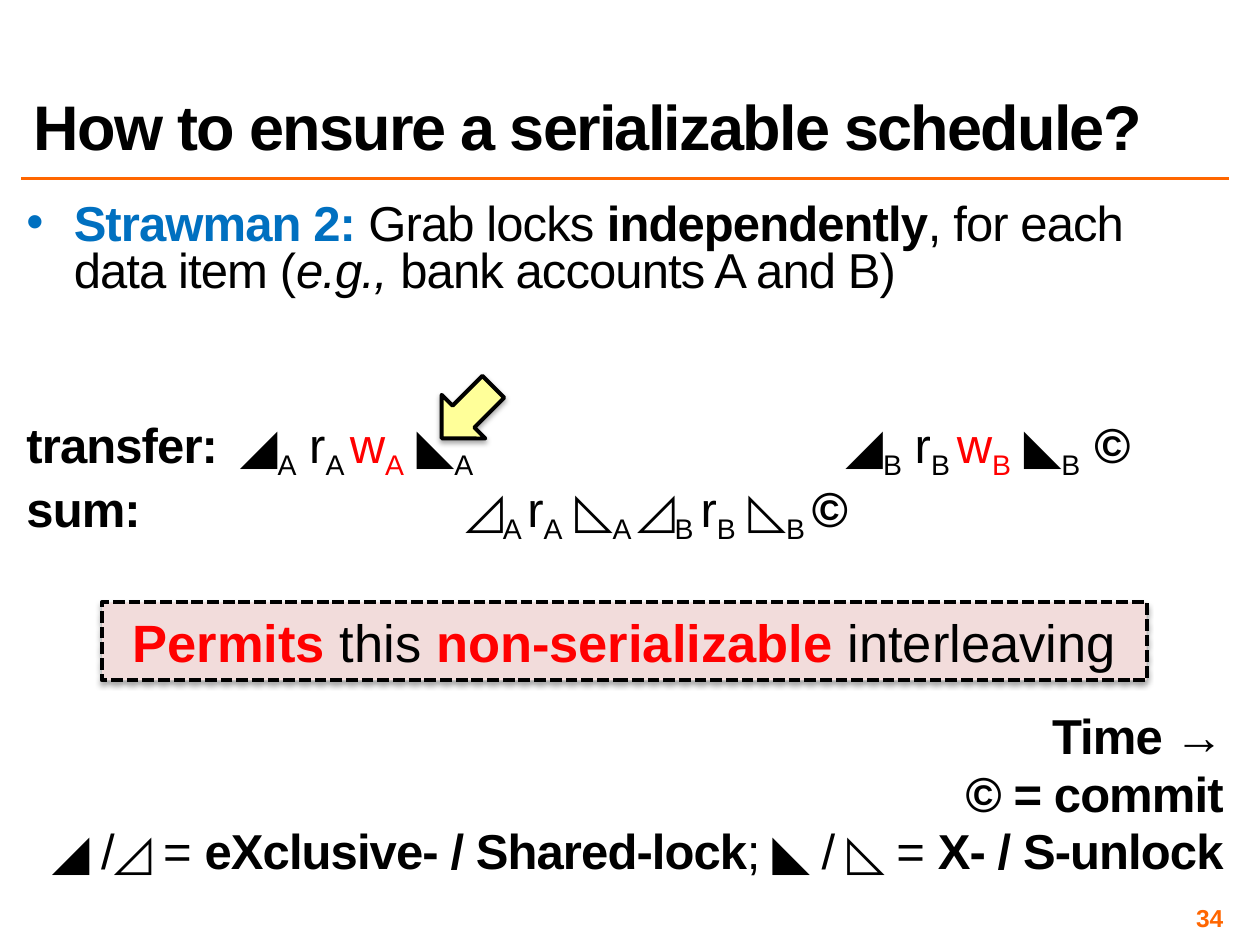
from lxml import etree
from pptx import Presentation
from pptx.dml.color import RGBColor
from pptx.enum import dml, shapes, text
from pptx.oxml import ns
from pptx.util import Pt

BLACK = RGBColor(0, 0, 0)
RED = RGBColor(0xFF, 0, 0)
BLUE = RGBColor(0, 0x70, 0xC0)
ORANGE = RGBColor(0xFF, 0x66, 0)
PINK = RGBColor(0xF2, 0xDC, 0xDB)
YELLOW = RGBColor(0xFF, 0xFF, 0x99)

BOLD = dict(bold=True)
SUB = dict(base=-25)
HOT = dict(color=RED)
HOT_SUB = dict(color=RED, base=-25)
HOT_BOLD = dict(color=RED, bold=True)
RIGHT, CENTER = text.PP_ALIGN.RIGHT, text.PP_ALIGN.CENTER
MIDDLE, BOTTOM = text.MSO_ANCHOR.MIDDLE, text.MSO_ANCHOR.BOTTOM

TITLE = [dict(runs=[("How to ensure a serializable schedule?", BOLD)], line=0.8)]
NUMBER = [dict(runs=[("34", dict(bold=True, color=ORANGE))], align=RIGHT)]
CALLOUT = [dict(runs=[("Permits ", HOT_BOLD), ("this ", {}),
                      ("non-serializable ", HOT_BOLD), ("interleaving", {})], align=CENTER)]

GAP, BLANK_LINE = 6, 32
SCHEDULE_TABS = (122, 243, 464)
STRAWMAN = [
    ("Strawman 2: ", dict(bold=True, color=BLUE)), ("Grab locks ", {}),
    ("independently", BOLD), (", for each data item (", {}),
    ("e.g., ", dict(italic=True)), ("bank accounts A and B)", {})]
TRANSFER = [
    ("transfer: \t", BOLD),
    ("◢", {}), ("A", SUB), (" r", {}), ("A ", SUB), ("w", HOT), ("A", HOT_SUB),
    (" ◣", {}), ("A \t", SUB),
    ("\t◢", {}), ("B", SUB), (" r", {}), ("B ", SUB), ("w", HOT), ("B", HOT_SUB),
    (" ◣", {}), ("B  ", SUB), ("©", BOLD)]
SUM = [
    ("sum: \t\t ", BOLD),
    ("◿", {}), ("A ", SUB), ("r", {}), ("A", SUB), (" ◺", {}), ("A ", SUB),
    ("◿", {}), ("B ", SUB), ("r", {}), ("B", SUB), (" ◺", {}), ("B ", SUB), ("©", BOLD)]
LEGEND = [
    ("◢ /◿ = ", {}), ("eXclusive- / Shared-lock", BOLD),
    ("; ◣ / ◺ = ", {}), ("X- / S-unlock", BOLD)]
BODY = [
    dict(runs=STRAWMAN, line=0.8, before=GAP, bullet="•"),
    dict(runs=TRANSFER, line=0.8, before=GAP + 2 * BLANK_LINE, tabs=SCHEDULE_TABS),
    dict(runs=SUM, line=0.8, before=GAP, tabs=SCHEDULE_TABS),
    dict(runs=[("Time →", BOLD)], line=0.8, before=GAP + 3 * BLANK_LINE, align=RIGHT),
    dict(runs=[("© = commit", BOLD)], line=0.8, before=GAP, align=RIGHT),
    dict(runs=LEGEND, line=0.8, before=GAP, align=RIGHT)]


def add(parent, tag, **attrs):
    return etree.SubElement(parent, ns.qn(tag), {k: str(v) for k, v in attrs.items()})


def add_run(p, words, size, spacing=0, bold=False, italic=False, color=BLACK, base=0):
    r = p.add_run()
    r.text = words
    f = r.font
    f.name, f.size, f.bold, f.italic = "Arial", Pt(size), bold, italic
    f.color.rgb = color
    rPr = f._element
    if spacing:
        rPr.set("spc", str(int(spacing * 100)))
    if base:
        rPr.set("baseline", str(base * 1000))


def write(sp, paragraphs, size, spacing=0, anchor=text.MSO_ANCHOR.TOP, inset=None):
    tf = sp.text_frame
    tf.word_wrap = True
    tf.vertical_anchor = anchor
    if inset is not None:
        tf.margin_left = tf.margin_top = tf.margin_right = tf.margin_bottom = Pt(inset)
    for i, item in enumerate(paragraphs):
        p = tf.add_paragraph() if i else tf.paragraphs[0]
        p.alignment = item.get("align", text.PP_ALIGN.LEFT)
        p.line_spacing = item.get("line", 1.0)
        p.space_before = Pt(item.get("before", 0))
        pPr = p._p.get_or_add_pPr()
        if "bullet" in item:
            pPr.set("marL", str(Pt(27)))
            pPr.set("indent", str(-Pt(27)))
            add(pPr, "a:buFont", typeface="Arial")
            add(pPr, "a:buChar", char=item["bullet"])
        if "tabs" in item:
            tab_list = add(pPr, "a:tabLst")
            for pos in item["tabs"]:
                add(tab_list, "a:tab", pos=Pt(pos), algn="l")
        for words, style in item["runs"]:
            add_run(p, words, size, spacing, **style)


def box(x, y, w, h):
    return slide.shapes.add_textbox(Pt(x), Pt(y), Pt(w), Pt(h))


def shadowed(kind, x, y, w, h, fill):
    sp = slide.shapes.add_shape(kind, Pt(x), Pt(y), Pt(w), Pt(h))
    sp.shadow.inherit = False
    sp.fill.solid()
    sp.fill.fore_color.rgb = fill
    sp.line.color.rgb = BLACK
    sp.line.width = Pt(2.25)
    effects = sp._element.spPr.find(ns.qn("a:effectLst"))
    shadow = add(effects, "a:outerShdw", blurRad=Pt(3.1), dist=Pt(1.8),
                 dir=90 * 60000, rotWithShape=0)
    add(add(shadow, "a:srgbClr", val=BLACK), "a:alpha", val=35000)
    return sp


prs = Presentation()
prs.slide_width, prs.slide_height = Pt(720), Pt(540)
slide = prs.slides.add_slide(prs.slide_layouts[6])

LEFT, WIDTH = 12.24, 689.76
rule = slide.shapes.add_connector(shapes.MSO_CONNECTOR.STRAIGHT,
                                  Pt(LEFT), Pt(102), Pt(LEFT + WIDTH), Pt(102))
rule.line.color.rgb = ORANGE
rule.line.width = Pt(2)
add(rule._element.spPr, "a:effectLst")

write(box(LEFT, 113.76, WIDTH, 396), BODY, 28, spacing=-0.5, inset=2.88)
write(box(534.24, 516.24, 167.76, 16.56), NUMBER, 14, anchor=MIDDLE, inset=2.88)
write(box(LEFT, 12.24, WIDTH, 84.24), TITLE, 36, spacing=-1, anchor=BOTTOM)

callout = shadowed(shapes.MSO_SHAPE.RECTANGLE, 58.32, 344.16, 596.88, 44.64, PINK)
callout.line.dash_style = dml.MSO_LINE.SQUARE_DOT
write(callout, CALLOUT, 30, anchor=MIDDLE)

arrow = shadowed(shapes.MSO_SHAPE.LEFT_ARROW, 246.24, 218.16, 41.76, 35.28, YELLOW)
arrow.rotation = 315

prs.save("out.pptx")
